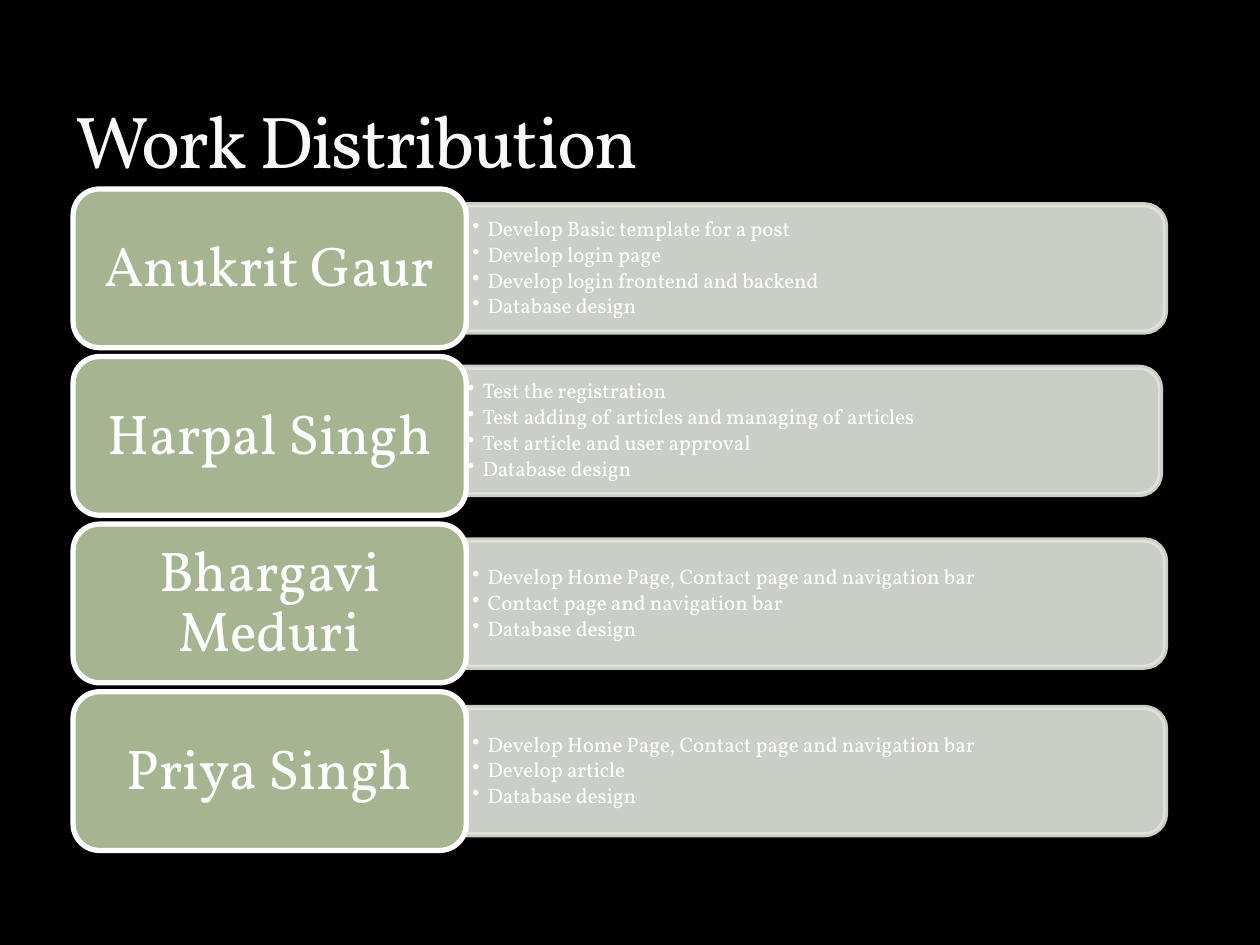
from lxml import etree
from pptx import Presentation
from pptx import util as u
from pptx.dml.color import RGBColor
from pptx.enum import shapes, text
from pptx.oxml import ns

BLACK = RGBColor(0x00, 0x00, 0x00)
WHITE = RGBColor(0xFF, 0xFF, 0xFF)
TITLE_WHITE = RGBColor(0xF9, 0xF9, 0xF9)
SAGE = RGBColor(0xA5, 0xB5, 0x92)
PALE_SAGE = RGBColor(0xE1, 0xE5, 0xDC)
FONT = "Vollkorn"

WIDTH, HEIGHT = 10, 7.5
LEFT, TOP, PITCH = 0.58, 1.5, 1.33
NAME_W, NAME_H = 3.12, 1.26
BAR_W, BAR_H = 5.55, 1.01
TASKS_W, TASKS_H = 5.5, 0.91

TITLE_FONT = {"size": u.Pt(42), "name": FONT}
NAME_FONT = {"size": u.Pt(32), "name": FONT}
TASK_FONT = {"size": u.Pt(12), "name": FONT}
NAME_FRAME = {
    "word_wrap": True, "vertical_anchor": text.MSO_ANCHOR.MIDDLE,
    "margin_left": u.Inches(0.13), "margin_right": u.Inches(0.13),
    "margin_top": u.Inches(0.07), "margin_bottom": u.Inches(0.07),
}
TASK_FRAME = {
    "word_wrap": True, "vertical_anchor": text.MSO_ANCHOR.MIDDLE,
    "margin_left": u.Inches(0.05), "margin_right": u.Inches(0.05),
    "margin_top": u.Inches(0.03), "margin_bottom": u.Inches(0.03),
}
TITLE_FRAME = {"word_wrap": True, "vertical_anchor": text.MSO_ANCHOR.BOTTOM}
NAME_PARAGRAPH = {"alignment": text.PP_ALIGN.CENTER, "line_spacing": 0.9}
TASK_PARAGRAPH = {
    "alignment": text.PP_ALIGN.LEFT, "line_spacing": 0.9,
    "space_after": u.Pt(1.8), "level": 1,
}

MEMBERS = [
    ("Anukrit Gaur", 0, [
        "Develop Basic template for a post",
        "Develop login page",
        "Develop login frontend and backend",
        "Database design",
    ]),
    ("Harpal Singh", -0.04, [
        "Test the registration",
        "Test adding of articles and managing of articles",
        "Test article and user approval",
        "Database design",
    ]),
    ("Bhargavi Meduri", 0, [
        "Develop Home Page, Contact page and navigation bar",
        "Contact page and navigation bar",
        "Database design",
    ]),
    ("Priya Singh", 0, [
        "Develop Home Page, Contact page and navigation bar",
        "Develop article",
        "Database design",
    ]),
]


def apply(target, values):
    for key, value in values.items():
        setattr(target, key, value)


def inches(*lengths):
    return [u.Inches(length) for length in lengths]


def write(paragraph, words, font, color):
    run = paragraph.add_run()
    run.text = words
    apply(run.font, font)
    run.font.color.rgb = color
    return run


def add_title(slide, words):
    title = slide.shapes.add_textbox(*inches(0.5, 0.17, 9, 1.33))
    apply(title.text_frame, TITLE_FRAME)
    run = write(title.text_frame.paragraphs[0], words, TITLE_FONT, TITLE_WHITE)
    run._r.get_or_add_rPr().set("spc", "-100")


def add_panel(slide, preset, box, fill, line):
    panel = slide.shapes.add_shape(preset, *inches(*box))
    panel.shadow.inherit = False
    panel.fill.solid()
    panel.fill.fore_color.rgb = fill
    panel.line.color.rgb = line
    panel.line.width = u.Pt(3)
    return panel


def add_bar(slide, center_x, center_y):
    box = (center_x - BAR_H / 2, center_y - BAR_W / 2, BAR_H, BAR_W)
    bar = add_panel(slide, shapes.MSO_SHAPE.ROUND_2_SAME_RECTANGLE, box,
                    PALE_SAGE, PALE_SAGE)
    bar.rotation = 90
    for color in bar._element.spPr.iter(ns.qn("a:srgbClr")):
        etree.SubElement(color, ns.qn("a:alpha"), val="90000")


def add_tasks(slide, left, center_y, tasks):
    box = (left, center_y - TASKS_H / 2, TASKS_W, TASKS_H)
    frame = slide.shapes.add_textbox(*inches(*box)).text_frame
    apply(frame, TASK_FRAME)
    for index, task in enumerate(tasks):
        paragraph = frame.add_paragraph() if index else frame.paragraphs[0]
        apply(paragraph, TASK_PARAGRAPH)
        properties = paragraph._p.get_or_add_pPr()
        properties.set("marL", str(u.Inches(0.12)))
        properties.set("indent", str(u.Inches(-0.12)))
        etree.SubElement(properties, ns.qn("a:buChar"), char="•")
        write(paragraph, task, TASK_FONT, WHITE)


def add_name(slide, top, name):
    card = add_panel(slide, shapes.MSO_SHAPE.ROUNDED_RECTANGLE,
                     (LEFT, top, NAME_W, NAME_H), SAGE, WHITE)
    apply(card.text_frame, NAME_FRAME)
    paragraph = card.text_frame.paragraphs[0]
    apply(paragraph, NAME_PARAGRAPH)
    write(paragraph, name, NAME_FONT, WHITE)


def add_member(slide, row, name, shift, tasks):
    top = TOP + row * PITCH
    center_y = top + NAME_H / 2 + shift
    tasks_left = LEFT + NAME_W + shift
    add_bar(slide, tasks_left + BAR_W / 2, center_y)
    add_tasks(slide, tasks_left, center_y, tasks)
    add_name(slide, top, name)


def main():
    deck = Presentation()
    deck.slide_width, deck.slide_height = inches(WIDTH, HEIGHT)
    slide = deck.slides.add_slide(deck.slide_layouts[6])
    slide.background.fill.solid()
    slide.background.fill.fore_color.rgb = BLACK
    add_title(slide, "Work Distribution")
    for row, member in enumerate(MEMBERS):
        add_member(slide, row, *member)
    deck.save("out.pptx")


if __name__ == "__main__":
    main()
